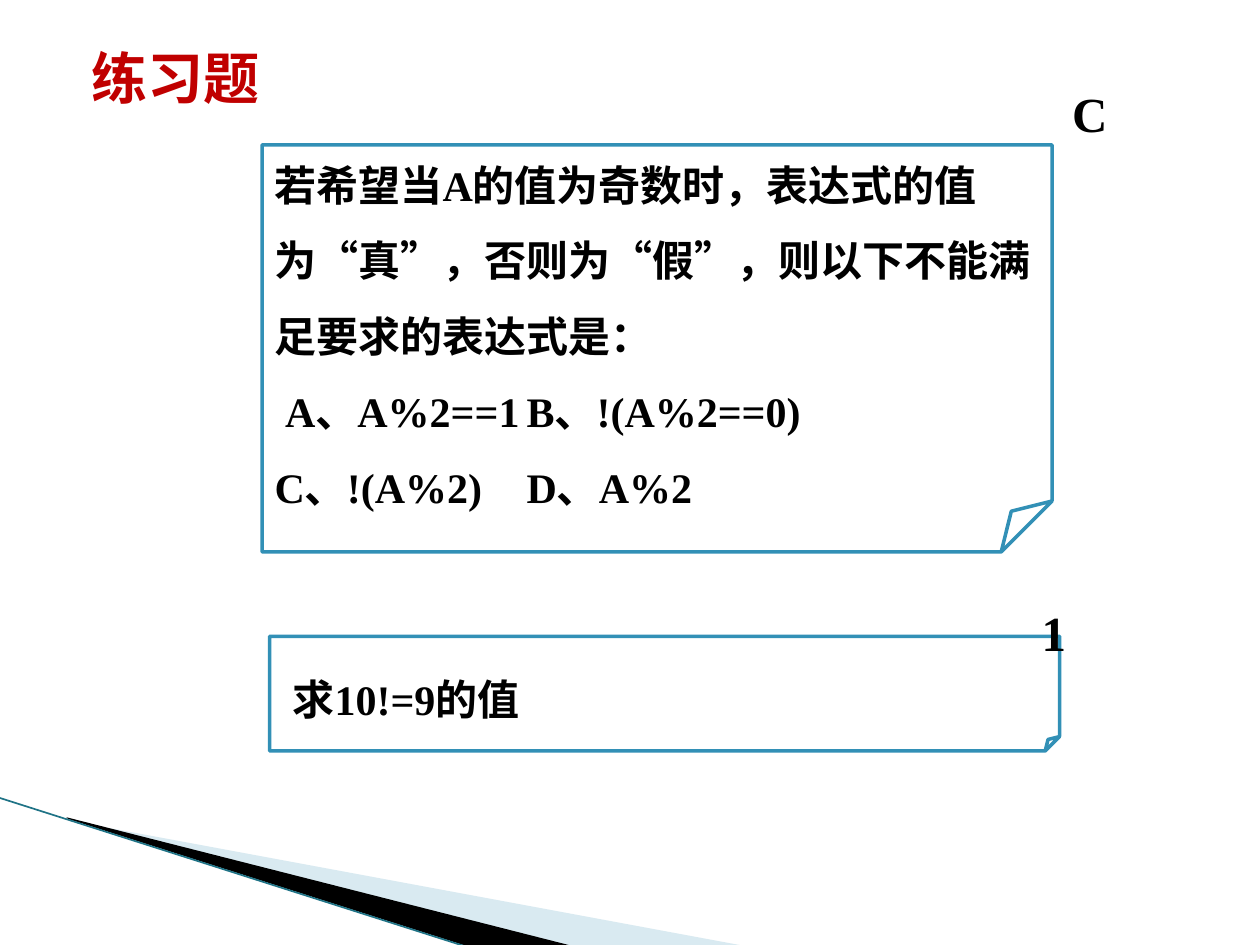
from pptx import Presentation
from pptx.dml.color import RGBColor
from pptx.enum.shapes import MSO_CONNECTOR, MSO_SHAPE
from pptx.enum.text import MSO_ANCHOR, MSO_AUTO_SIZE, PP_ALIGN
from pptx.oxml.ns import qn
from pptx.util import Pt
from lxml import etree

RED = RGBColor(0xC0, 0x00, 0x00)
BLACK = RGBColor(0x00, 0x00, 0x00)
BLUE = RGBColor(0x32, 0x90, 0xB6)
PALE_BLUE = RGBColor(0xA0, 0xCB, 0xDC)
TEAL = RGBColor(0x1F, 0x73, 0x86)
LATIN_FONT = "Times New Roman"
CHINESE_FONT = "Noto Sans CJK SC"


def style_text(paragraph, size, color=BLACK, latin=LATIN_FONT):
    paragraph.alignment = PP_ALIGN.LEFT
    for run in paragraph.runs:
        run.font.size = Pt(size)
        run.font.bold = True
        run.font.color.rgb = color
        run.font.name = latin
        east_asian = etree.SubElement(run.font._element, qn("a:ea"))
        east_asian.set("typeface", CHINESE_FONT)


prs = Presentation()
prs.slide_width, prs.slide_height = Pt(720), Pt(540)
slide = prs.slides.add_slide(prs.slide_layouts[6])
shapes = slide.shapes

# Corner decoration: two wedges and an edge line
wedges = [
    (PALE_BLUE, [(39.6, 468.6), (428.4, 540.6), (328.4, 540.6), (39.6, 468)]),
    (BLACK, [(38.2, 467.3), (329, 540.7), (267.8, 541.4), (38.9, 468)]),
]
for color, points in wedges:
    builder = shapes.build_freeform(*points[0], scale=Pt(1))
    builder.add_line_segments(points[1:], close=True)
    wedge = builder.convert_to_shape()
    wedge.shadow.inherit = False
    wedge.fill.solid()
    wedge.fill.fore_color.rgb = color
    wedge.line.fill.background()
    if color == PALE_BLUE:
        tint = wedge._element.spPr.find(".//" + qn("a:srgbClr"))
        etree.SubElement(tint, qn("a:alpha")).set("val", "40000")

edge = shapes.add_connector(
    MSO_CONNECTOR.STRAIGHT, Pt(-0.7), Pt(455.8), Pt(267.8), Pt(541.4))
edge.line.color.rgb = TEAL
edge.line.width = Pt(0.95)
etree.SubElement(edge._element.spPr, qn("a:effectLst"))

# Title
title = shapes.add_textbox(Pt(45.4), Pt(18), Pt(176.4), Pt(52.6)).text_frame
title.word_wrap = True
title.vertical_anchor = MSO_ANCHOR.MIDDLE
title.text = "练习题"
style_text(title.paragraphs[0], 32, RED, CHINESE_FONT)

# Question cards with their answers: each line is (text, first indent, tab stop)
exercises = [
    ((149.8, 82.8, 451.4, 232.6), [
        ("若希望当A的值为奇数时，表达式的值为“真”，否则为“假”，则以下不能满足要求的表达式是：", 0, None),
        ("A、A%2==1\tB、!(A%2==0)", 6, 204),
        ("C、!(A%2)\tD、A%2", 0, 202),
    ], "C", (605.5, 43.9)),
    ((154.1, 363.6, 451.4, 65.5), [("求10!=9的值", 6, None)],
     "1", (588.2, 340.6)),
]
for card_box, lines, answer_text, answer_at in exercises:
    card = shapes.add_shape(MSO_SHAPE.FOLDED_CORNER, *map(Pt, card_box))
    fold = card._element.spPr.find(qn("a:prstGeom")).get_or_add_avLst()
    etree.SubElement(fold, qn("a:gd"), name="adj", fmla="val 12500")
    card.shadow.inherit = False
    card.fill.background()
    card.line.color.rgb = BLUE
    card.line.width = Pt(2)
    question = card.text_frame
    question.word_wrap = True
    question.vertical_anchor = MSO_ANCHOR.MIDDLE
    question.text = "\n".join(text for text, _, _ in lines)
    for paragraph, (_, indent, tab_stop) in zip(question.paragraphs, lines):
        paragraph.line_spacing = 1.5
        style_text(paragraph, 24)
        properties = paragraph._p.get_or_add_pPr()
        properties.set("marL", "0")
        properties.set("indent", str(int(Pt(indent))))
        if tab_stop:
            tabs = etree.SubElement(properties, qn("a:tabLst"))
            etree.SubElement(
                tabs, qn("a:tab"), pos=str(int(Pt(tab_stop))), algn="l")

    answer = shapes.add_textbox(*map(Pt, answer_at), Pt(34.6), Pt(41)).text_frame
    answer.word_wrap = True
    answer.auto_size = MSO_AUTO_SIZE.SHAPE_TO_FIT_TEXT
    answer.text = answer_text
    style_text(answer.paragraphs[0], 28)

prs.save("out.pptx")
